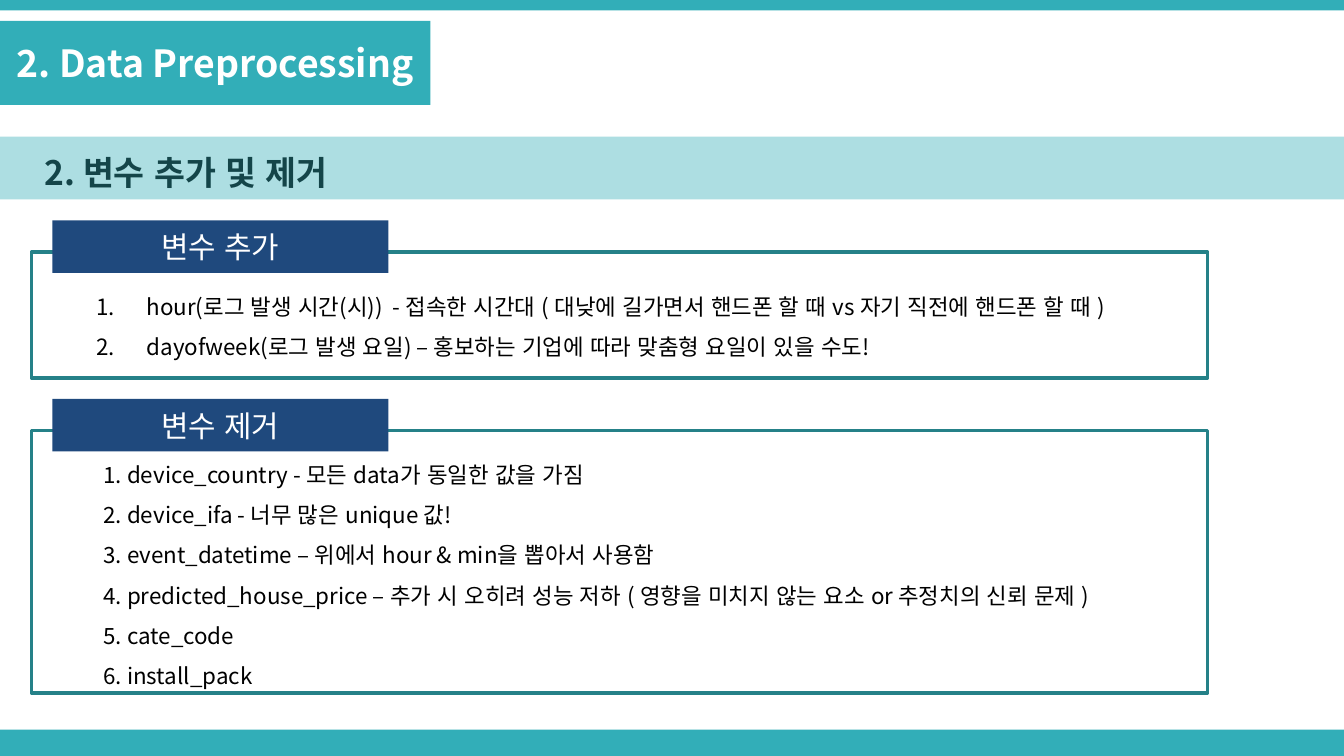
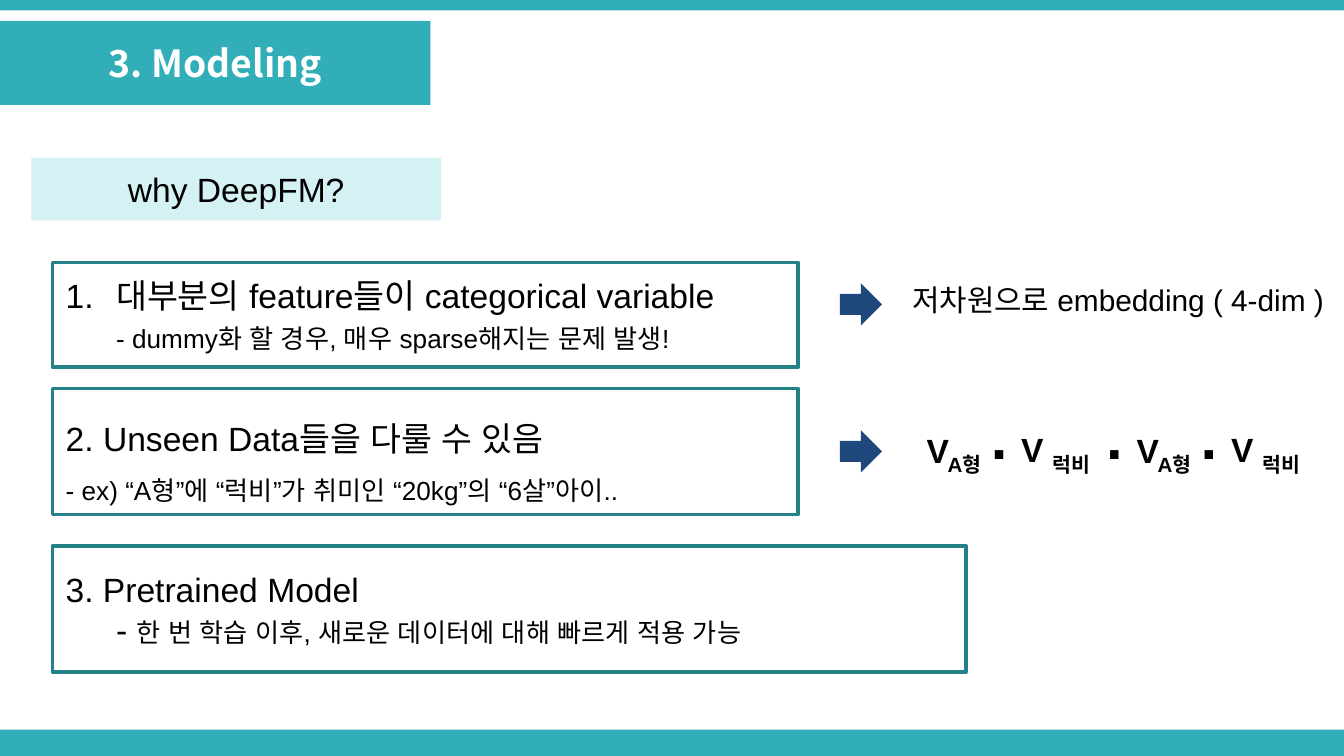
from dataclasses import dataclass

from lxml.etree import SubElement
from pptx import Presentation
from pptx.dml.color import RGBColor
from pptx.enum.shapes import MSO_SHAPE
from pptx.enum.text import MSO_ANCHOR, PP_ALIGN
from pptx.oxml.ns import qn
from pptx.util import Emu, Inches, Pt

PX_PER_INCH = 128
PAGE_WIDTH, PAGE_HEIGHT = 1280, 720

TEAL, DARK_TEAL, PALE_TEAL = "32AEB8", "258188", "D4F1F3"
NAVY, BLACK, WHITE = "1F497D", "000000", "FFFFFF"
NOTO, ARIAL = "Noto Sans CJK KR", "Arial"
HANGING = 48


@dataclass(frozen=True)
class Area:
    left: int
    top: int
    width: int
    height: int


@dataclass(frozen=True)
class Span:
    """One run of text; a line break may come before it."""
    text: str
    size: int
    font: str = ARIAL
    color: str = BLACK
    bold: bool = False
    new_line: bool = False


@dataclass(frozen=True)
class Para:
    spans: tuple[Span, ...]
    align: PP_ALIGN = PP_ALIGN.LEFT
    hanging: int = 0
    spacing: float = 1.0
    numbered: bool = False


@dataclass(frozen=True)
class Section:
    label: str
    label_top: int
    frame: Area
    text: Area
    items: tuple[str, ...]
    numbered: bool


@dataclass(frozen=True)
class Reason:
    area: Area
    paras: tuple[Para, ...]


@dataclass(frozen=True)
class Term:
    text: str
    size: int
    area: Area


def px(length: int) -> Emu:
    return Emu(length * Inches(1) // PX_PER_INCH)


def rgb(color: str) -> RGBColor:
    return RGBColor.from_string(color)


def place(area: Area) -> tuple[Emu, ...]:
    return px(area.left), px(area.top), px(area.width), px(area.height)


def centered(text: str, size: int, font: str, color: str, bold: bool = False) -> Para:
    return Para((Span(text, size, font, color, bold),), PP_ALIGN.CENTER)


def write(shape, paras) -> None:
    frame = shape.text_frame
    frame.word_wrap = True
    for index, item in enumerate(paras):
        para = frame.add_paragraph() if index else frame.paragraphs[0]
        para.alignment = item.align
        para.line_spacing = item.spacing
        properties = para._p.get_or_add_pPr()
        if item.hanging:
            properties.set("marL", str(px(item.hanging)))
            properties.set("indent", str(px(-item.hanging)))
        if item.numbered:
            SubElement(properties, qn("a:buFont")).set("typeface", NOTO)
            SubElement(properties, qn("a:buAutoNum")).set("type", "arabicPeriod")
        for span in item.spans:
            if span.new_line:
                para.add_line_break()
            run = para.add_run()
            run.text = span.text
            run.font.name = span.font
            run.font.size = Pt(span.size)
            run.font.bold = span.bold
            run.font.color.rgb = rgb(span.color)
            # Arial keeps word gaps and quotes at Latin widths in Korean text.
            SubElement(run._r.get_or_add_rPr(), qn("a:ea")).set("typeface", ARIAL)


def add_box(page, area: Area, fill=None, line=None, paras=(),
            kind=MSO_SHAPE.RECTANGLE):
    box = page.shapes.add_shape(kind, *place(area))
    box.shadow.inherit = False
    if fill:
        box.fill.solid()
        box.fill.fore_color.rgb = rgb(fill)
    else:
        box.fill.background()
    if line:
        box.line.color.rgb = rgb(line)
        box.line.width = Pt(2)
    else:
        box.line.fill.background()
    if paras:
        box.text_frame.vertical_anchor = MSO_ANCHOR.MIDDLE
        write(box, paras)
    return box


def add_text(page, area: Area, paras) -> None:
    write(page.shapes.add_textbox(*place(area)), paras)


def add_page(deck, title: str):
    """Add a page with the shared bands and its title block."""
    page = deck.slides.add_slide(deck.slide_layouts[6])
    add_box(page, Area(0, 695, PAGE_WIDTH, 25), TEAL)
    add_box(page, Area(0, 0, PAGE_WIDTH, 10), TEAL)
    add_box(page, Area(0, 20, 410, 80), TEAL,
            paras=(centered(title, 20, NOTO, WHITE, True),))
    return page


def add_veil(page, area: Area) -> None:
    """Lay a see-through teal band over the heading."""
    veil = add_box(page, area, TEAL)
    color = veil.fill._xPr.find(qn("a:solidFill")).find(qn("a:srgbClr"))
    SubElement(color, qn("a:alpha")).set("val", "40000")


def add_section(page, section: Section) -> None:
    add_box(page, section.frame, line=DARK_TEAL)
    add_text(page, section.text, [
        Para((Span(item, 12, NOTO),), hanging=HANGING, spacing=1.5,
             numbered=section.numbered)
        for item in section.items
    ])
    add_box(page, Area(50, section.label_top, 320, 50), NAVY,
            paras=(centered(section.label, 16, ARIAL, WHITE),))


SECTIONS = (
    Section("변수 추가", 210, Area(30, 240, 1120, 120), Area(79, 260, 1254, 91), (
        "hour(로그 발생 시간(시))  - 접속한 시간대 ( 대낮에 길가면서 핸드폰 할 때 vs 자기 직전에 핸드폰 할 때 )",
        "dayofweek(로그 발생 요일) – 홍보하는 기업에 따라 맞춤형 요일이 있을 수도!",
    ), True),
    Section("변수 제거", 380, Area(30, 410, 1120, 250), Area(86, 420, 1254, 246), (
        "1. device_country - 모든 data가 동일한 값을 가짐",
        "2. device_ifa - 너무 많은 unique 값!",
        "3. event_datetime – 위에서 hour & min을 뽑아서 사용함",
        "4. predicted_house_price – 추가 시 오히려 성능 저하 ( 영향을 미치지 않는 요소 or 추정치의 신뢰 문제 )",
        "5. cate_code",
        "6. install_pack",
    ), False),
)

REASONS = (
    Reason(Area(50, 250, 710, 100), (
        Para((Span("대부분의 feature들이 categorical variable", 18),
              Span("- dummy화 할 경우, 매우 sparse해지는 문제 발생!", 14, new_line=True),
              Span(" ", 18)),
             hanging=HANGING, numbered=True),
    )),
    Reason(Area(50, 370, 710, 120), (
        Para((Span("2. Unseen Data들을 다룰 수 있음", 18),),
             hanging=HANGING, spacing=1.5),
        Para((Span("- ex) “A형”에 “럭비”가 취미인 “20kg”의 “6살”아이..", 14),),
             hanging=HANGING, spacing=1.5),
    )),
    Reason(Area(50, 520, 870, 120), (
        Para((Span("3. Pretrained Model", 18),
              Span("- ", 18, new_line=True),
              Span("한 번 학습 이후, 새로운 데이터에 대해 빠르게 적용 가능", 14)),
             hanging=HANGING),
    )),
)

PRODUCT_STEP = 200
PRODUCT = (
    Term("V", 18, Area(870, 403, 70, 51)),
    Term("V", 18, Area(960, 402, 70, 51)),
    Term("A형", 11, Area(890, 424, 70, 37)),
    Term(".", 32, Area(931, 374, 40, 82)),
    Term("럭비", 11, Area(990, 424, 70, 37)),
)
JOINING_DOT = Term(".", 32, Area(1041, 374, 40, 82))


def add_term(page, term: Term, shift: int = 0) -> None:
    area = term.area
    add_text(page, Area(area.left + shift, area.top, area.width, area.height),
             (Para((Span(term.text, term.size, bold=True),)),))


def build_preprocessing(deck) -> None:
    page = add_page(deck, "2. Data Preprocessing")
    add_text(page, Area(30, 138, 1230, 51),
             (Para((Span("2. 변수 추가 및 제거", 18, NOTO, bold=True),)),))
    add_veil(page, Area(0, 130, PAGE_WIDTH, 60))
    for section in SECTIONS:
        add_section(page, section)


def build_modeling(deck) -> None:
    page = add_page(deck, "3. Modeling")
    add_box(page, Area(30, 150, 390, 60), PALE_TEAL,
            paras=(centered("why DeepFM?", 18, ARIAL, BLACK),))
    for reason in REASONS:
        add_box(page, reason.area, line=DARK_TEAL, paras=reason.paras)
    for top in (270, 410):
        add_box(page, Area(800, top, 40, 40), NAVY, kind=MSO_SHAPE.RIGHT_ARROW)
    add_text(page, Area(850, 262, 430, 47),
             (centered("저차원으로 embedding ( 4-dim )", 16, ARIAL, BLACK),))
    for shift in (0, PRODUCT_STEP):
        for term in PRODUCT:
            add_term(page, term, shift)
    add_term(page, JOINING_DOT)


def main() -> None:
    deck = Presentation()
    deck.slide_width, deck.slide_height = px(PAGE_WIDTH), px(PAGE_HEIGHT)
    build_preprocessing(deck)
    build_modeling(deck)
    deck.save("out.pptx")


if __name__ == "__main__":
    main()
